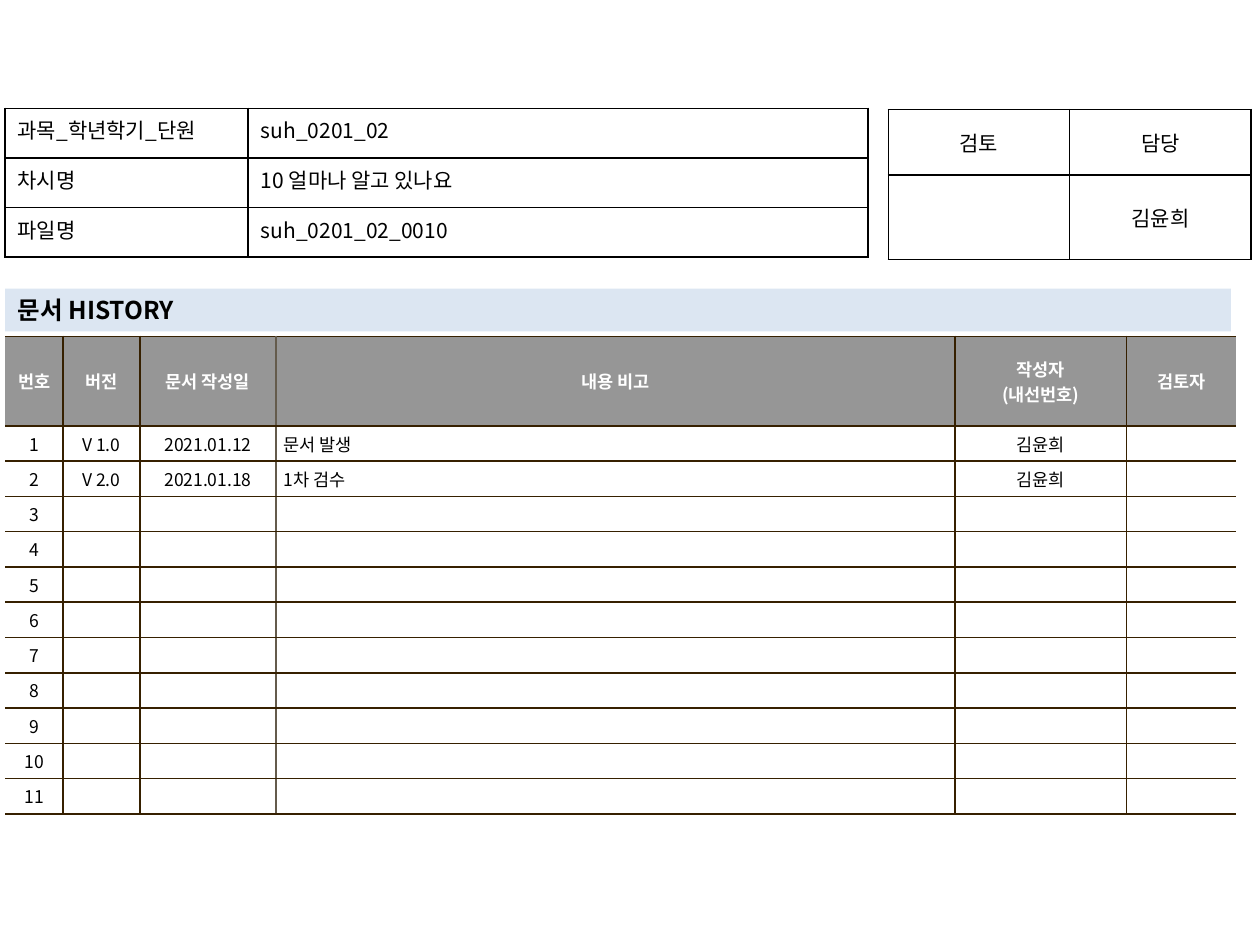
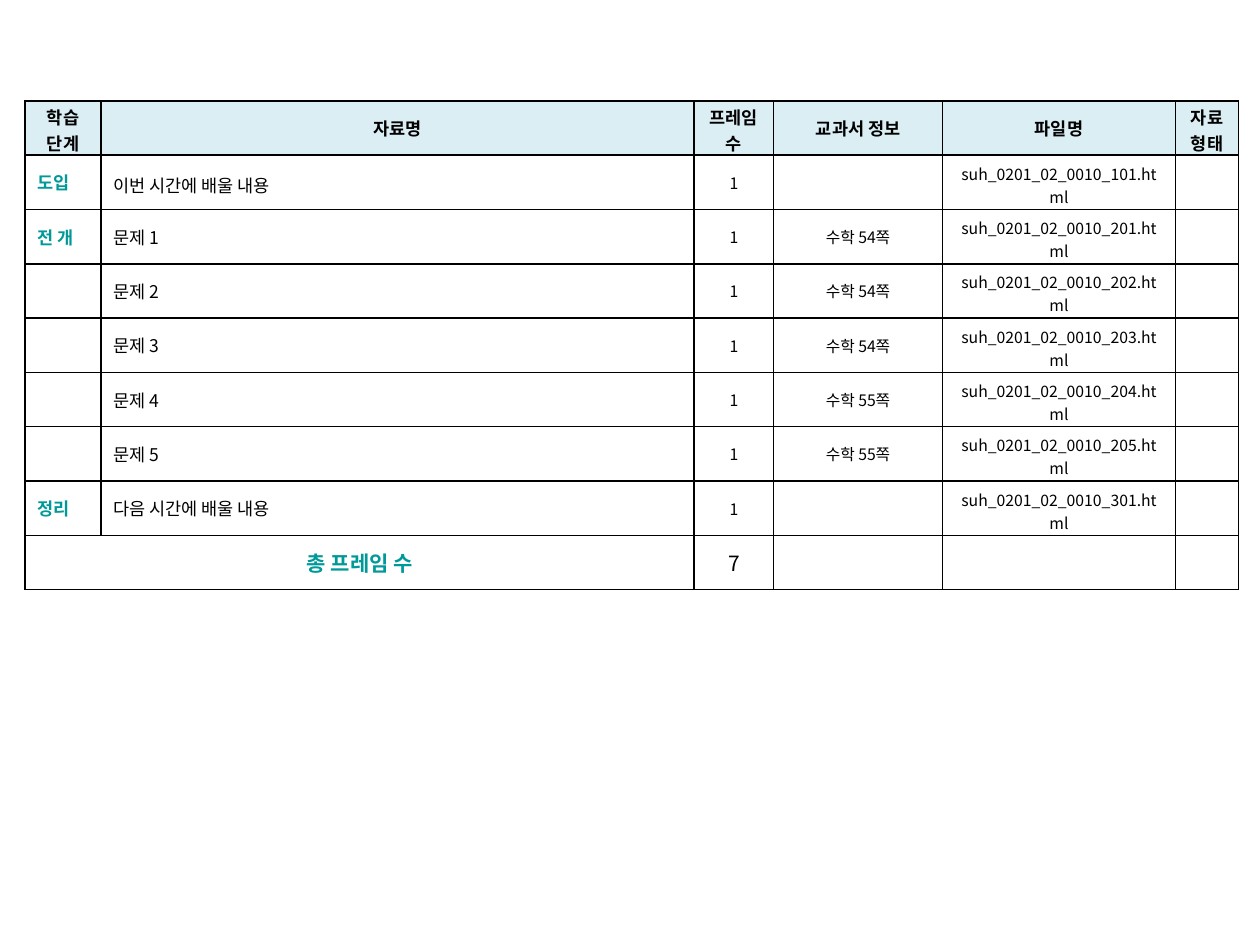
"""Build the document history and lesson frame list slides."""
from dataclasses import dataclass, replace
from typing import Optional

from lxml.etree import SubElement
from pptx import Presentation
from pptx.dml.color import RGBColor
from pptx.enum.text import MSO_ANCHOR as Anchor, MSO_AUTO_SIZE as AutoSize, PP_ALIGN as Align
from pptx.oxml import parse_xml
from pptx.oxml.ns import nsdecls, qn
from pptx.slide import Slide
from pptx.table import Table, _Cell as Cell
from pptx.text.text import TextFrame
from pptx.util import Inches, Pt


@dataclass(frozen=True)
class Theme:
    font: str = "Noto Sans CJK KR"
    ink: str = "000000"
    white: str = "FFFFFF"
    teal: str = "009999"
    title_band: str = "DCE6F2"
    history_header: str = "969696"
    history_line: str = "362000"
    history_divider: str = "645B4C"
    frame_header: str = "DBEEF4"
    title_size: int = 14
    large_size: int = 12
    body_size: int = 10
    small_size: int = 9


THEME = Theme()


@dataclass(frozen=True)
class TextStyle:
    size: int = THEME.body_size
    color: str = THEME.ink
    bold: bool = False
    align: Align = Align.CENTER


@dataclass(frozen=True)
class Grid:
    left: float
    top: float
    columns: list[float]
    rows: list[float]
    texts: list[list[str]]
    styles: list[TextStyle]
    header: Optional[TextStyle] = None
    header_fill: Optional[str] = None
    body_fill: Optional[str] = None
    line: str = THEME.ink
    divider: Optional[int] = None
    open_sides: bool = False
    anchor: Anchor = Anchor.MIDDLE
    insets: tuple[float, float] = (0.1, 0.05)


def style_text(frame: TextFrame, style: TextStyle) -> None:
    for paragraph in frame.paragraphs:
        paragraph.alignment = style.align
        for run in paragraph.runs:
            run.font.name = THEME.font
            run.font.size = Pt(style.size)
            run.font.bold = style.bold
            run.font.color.rgb = RGBColor.from_string(style.color)
            run.font._element.set("kern", "0")
            SubElement(run.font._element, qn("a:ea"), typeface=THEME.font)
        if not paragraph.runs:
            SubElement(paragraph._p, qn("a:endParaRPr"), sz=str(style.size * 100))


def set_fill(cell: Cell, color: Optional[str]) -> None:
    if color is None:
        cell.fill.background()
    else:
        cell.fill.solid()
        cell.fill.fore_color.rgb = RGBColor.from_string(color)


def set_borders(cell: Cell, colors: dict[str, Optional[str]]) -> None:
    properties = cell._tc.get_or_add_tcPr()
    for position, (side, color) in enumerate(colors.items()):
        paint = f'<a:solidFill><a:srgbClr val="{color}"/></a:solidFill>' if color else "<a:noFill/>"
        border = f'<a:ln{side} {nsdecls("a")} w="{Pt(1)}">{paint}</a:ln{side}>'
        properties.insert(position, parse_xml(border))


def border_colors(grid: Grid, column: int) -> dict[str, Optional[str]]:
    last = len(grid.columns)

    def edge(boundary: int) -> Optional[str]:
        if grid.open_sides and boundary in (0, last):
            return None
        return THEME.history_divider if boundary == grid.divider else grid.line

    return {"L": edge(column), "R": edge(column + 1), "T": grid.line, "B": grid.line}


def add_grid(slide: Slide, grid: Grid) -> Table:
    table = slide.shapes.add_table(
        len(grid.rows), len(grid.columns), Inches(grid.left), Inches(grid.top),
        Inches(sum(grid.columns)), Inches(sum(grid.rows))).table
    table.first_row = table.horz_banding = False
    for column, width in zip(table.columns, grid.columns):
        column.width = Inches(width)
    for row, height in zip(table.rows, grid.rows):
        row.height = Inches(height)
    for row_index, texts in enumerate(grid.texts):
        is_header = row_index == 0 and grid.header is not None
        for column_index, text in enumerate(texts):
            cell = table.cell(row_index, column_index)
            cell.text_frame.text = text
            cell.vertical_anchor = grid.anchor
            cell.margin_left = cell.margin_right = Inches(grid.insets[0])
            cell.margin_top = cell.margin_bottom = Inches(grid.insets[1])
            style_text(cell.text_frame, grid.header if is_header else grid.styles[column_index])
            set_fill(cell, grid.header_fill if is_header else grid.body_fill)
            set_borders(cell, border_colors(grid, column_index))
    return table


def add_title_band(slide: Slide, text: str) -> None:
    title = slide.shapes.title
    title.left, title.top, title.width, title.height = map(Inches, (0.04, 2.29, 9.73, 0.34))
    title.fill.solid()
    title.fill.fore_color.rgb = RGBColor.from_string(THEME.title_band)
    frame = title.text_frame
    frame.text = text
    frame.auto_size = AutoSize.NONE
    frame.vertical_anchor = Anchor.MIDDLE
    style_text(frame, TextStyle(THEME.title_size, bold=True, align=Align.LEFT))


def build_history(slide: Slide) -> None:
    centered = TextStyle()
    large = TextStyle(THEME.large_size)
    entries = [
        ["V 1.0", "2021.01.12", "문서 발생", "김윤희", ""],
        ["V 2.0", "2021.01.18", "1차 검수", "김윤희", ""],
    ]
    entries += [[""] * 5 for _ in range(9)]
    headings = ["번호", "버전", "문서 작성일", "내용 비고", "작성자\n(내선번호)", "검토자"]

    add_grid(slide, Grid(
        left=0.04, top=2.67,
        columns=[0.46, 0.61, 1.08, 5.39, 1.36, 0.87],
        rows=[0.71] + [0.25] * len(entries),
        texts=[headings] + [[str(number), *entry] for number, entry in enumerate(entries, 1)],
        styles=[centered] * 3 + [TextStyle(align=Align.LEFT)] + [centered] * 2,
        header=TextStyle(color=THEME.white, bold=True),
        header_fill=THEME.history_header, body_fill=THEME.white,
        line=THEME.history_line, divider=3, open_sides=True, insets=(0.06, 0.04)))
    add_grid(slide, Grid(
        left=7.05, top=0.87, columns=[1.44] * 2, rows=[0.52, 0.67],
        texts=[["검토", "담당"], ["", "김윤희"]], styles=[large] * 2))
    add_title_band(slide, "문서 HISTORY")
    add_grid(slide, Grid(
        left=0.04, top=0.86, columns=[1.93, 4.92], rows=[1.18 / 3] * 3,
        texts=[
            ["과목_학년학기_단원", "suh_0201_02"],
            ["차시명", "10 얼마나 알고 있나요"],
            ["파일명", "suh_0201_02_0010"],
        ],
        styles=[replace(large, align=Align.JUSTIFY), replace(large, align=Align.LEFT)],
        anchor=Anchor.TOP))


def fit_two_lines(cell: Cell, top: float, bottom: float) -> None:
    cell.margin_top, cell.margin_bottom = Inches(top), Inches(bottom)


def build_frame_list(slide: Slide) -> None:
    small = TextStyle(THEME.small_size)
    stage = TextStyle(color=THEME.teal, bold=True, align=Align.JUSTIFY)
    lessons = [
        ("도입", "이번 시간에 배울 내용", "", 101),
        *(("전 개" if number == 1 else "", f"문제 {number}",
           f"수학 {54 if number <= 3 else 55}쪽", 200 + number) for number in range(1, 6)),
        ("정리", "다음 시간에 배울 내용", "", 301),
    ]
    headings = ["학습 단계", "자료명", "프레임 수", "교과서 정보", "파일명", "자료\n형태"]
    body = [[step, name, "1", pages, f"suh_0201_02_0010_{code}.html", ""]
            for step, name, pages, code in lessons]
    total = ["총 프레임 수", "", str(len(lessons)), "", "", ""]
    texts = [headings, *body, total]

    frames = add_grid(slide, Grid(
        left=0.2, top=0.8,
        columns=[0.6, 4.71, 0.63, 1.34, 1.85, 0.5], rows=[3.88 / len(texts)] * len(texts),
        texts=texts, styles=[stage, TextStyle(align=Align.LEFT)] + [small] * 4,
        header=TextStyle(bold=True), header_fill=THEME.frame_header))
    frames.cell(1, 1).text_frame.paragraphs[0].line_spacing = 1.2
    for column in (0, 2, 5):
        fit_two_lines(frames.cell(0, column), 0.03, 0)
    for row in range(1, len(lessons) + 1):
        fit_two_lines(frames.cell(row, 4), 0.05, 0.01)

    total_row = len(texts) - 1
    total_label = frames.cell(total_row, 0)
    total_label.merge(frames.cell(total_row, 1))
    style_text(total_label.text_frame, TextStyle(THEME.large_size, THEME.teal, True))
    style_text(frames.cell(total_row, 2).text_frame, TextStyle(THEME.large_size))


def main() -> None:
    deck = Presentation()
    deck.slide_width, deck.slide_height = Inches(10), Inches(7.5)
    title_only, blank = deck.slide_layouts[5], deck.slide_layouts[6]
    build_history(deck.slides.add_slide(title_only))
    build_frame_list(deck.slides.add_slide(blank))
    deck.save("out.pptx")


if __name__ == "__main__":
    main()
